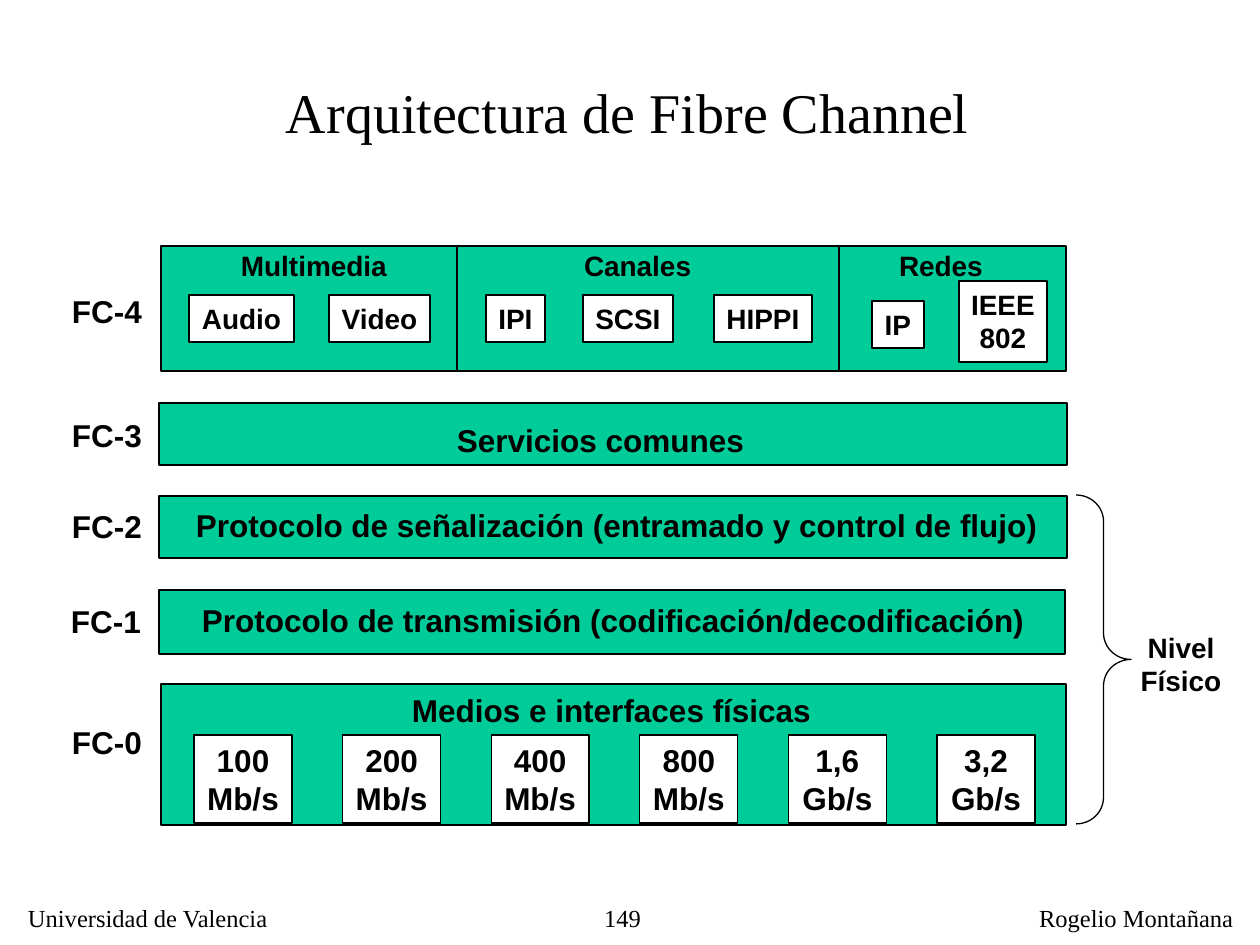
from pptx import Presentation, util as u
from pptx.dml.color import RGBColor
from pptx.enum import shapes, text
from pptx.oxml.ns import qn
from lxml import etree

COLORS = {"layer": "00CC99", "chip": "FFFFFF", "ink": "000000"}
SANS, SERIF = "Arial", "Times New Roman"
LEFT, CENTER, RIGHT = text.PP_ALIGN.LEFT, text.PP_ALIGN.CENTER, text.PP_ALIGN.RIGHT
# Left and right insets in px, with slack on the side the text does not lean on
INSETS = {LEFT: (13, 0), CENTER: (6, 6), RIGHT: (0, 13)}

# Content: boxes are (left, top, width, height) in px
TITLE = ("Arquitectura de Fibre Channel", (273, 71, 708, 81))
FOOTERS = [
    ("149", (520, 897, 134, 39), RIGHT),
    ("Universidad de Valencia", (15, 897, 268, 43), LEFT),
    ("Rogelio Montañana", (1026, 897, 219, 43), LEFT),
]
# Name, name position, layer box, caption, caption box
LAYERS = [
    ("FC-4", (59, 286), (161, 246, 905, 125), None, None),
    ("FC-3", (59, 410), (159, 403, 908, 62), "Servicios comunes", (444, 415, 312, 50)),
    ("FC-2", (59, 501), (159, 496, 908, 62),
     "Protocolo de señalización (entramado y control de flujo)", (183, 500, 867, 50)),
    ("FC-1", (58, 596), (159, 590, 906, 64),
     "Protocolo de transmisión (codificación/decodificación)", (189, 595, 848, 50)),
    ("FC-0", (59, 717), (161, 684, 905, 141),
     "Medios e interfaces físicas", (399, 685, 425, 50)),
]
# Heading, its left and width, then the chips below it
GROUPS = [
    ("Multimedia", 228, 171, [("Audio", (189, 295, 105, 47)), ("Video", (329, 295, 101, 47))]),
    ("Canales", 571, 132, [("IPI", (486, 295, 59, 47)), ("SCSI", (583, 295, 90, 47)),
                           ("HIPPI", (714, 295, 98, 47))]),
    ("Redes", 886, 108, [("IP", (872, 301, 52, 47)), ("IEEE\n802", (959, 281, 88, 81))]),
]
DIVIDERS = [457, 839]
RATES = ["100 Mb/s", "200 Mb/s", "400 Mb/s", "800 Mb/s", "1,6 Gb/s", "3,2 Gb/s"]
FIRST_RATE, LAST_RATE = 194, 937
PHYSICAL = ("Nivel\nFísico", (1128, 624, 106, 81))
BRACE = (1076, 495, 55, 329)


def px(n):
    return u.Emu(round(n * 914400 / 126))


def color(name):
    return RGBColor.from_string(COLORS[name])


def write(shape, words, size, font=SANS, bold=True, align=LEFT):
    frame = shape.text_frame
    frame.word_wrap = True
    frame.auto_size = text.MSO_AUTO_SIZE.NONE
    frame.vertical_anchor = text.MSO_ANCHOR.TOP
    frame.margin_left, frame.margin_right = map(px, INSETS[align])
    for i, line in enumerate(words.split("\n")):
        para = frame.add_paragraph() if i else frame.paragraphs[0]
        para.alignment = align
        run = para.add_run()
        run.text = line
        run.font.size, run.font.name, run.font.bold = u.Pt(size), font, bold
        run.font.color.rgb = color("ink")


def outline(shape):
    shape.line.color.rgb = color("ink")
    shape.line.width = u.Pt(0.75)


def add_label(slide, words, box, size, **style):
    write(slide.shapes.add_textbox(*map(px, box)), words, size, **style)


def add_box(slide, box, fill):
    rect = slide.shapes.add_shape(shapes.MSO_SHAPE.RECTANGLE, *map(px, box))
    rect.shadow.inherit = False
    rect.fill.solid()
    rect.fill.fore_color.rgb = color(fill)
    outline(rect)
    return rect


def main():
    prs = Presentation()
    prs.slide_width, prs.slide_height = px(1260), px(945)
    slide = prs.slides.add_slide(prs.slide_layouts[5])

    # Title and footer
    title = slide.shapes.title
    words, box = TITLE
    title.left, title.top, title.width, title.height = map(px, box)
    write(title, words, 32, font=SERIF, bold=False)
    for words, box, align in FOOTERS:
        add_label(slide, words, box, 14, font=SERIF, bold=False, align=align)

    # Layers with their names and captions
    for name, (left, top), box, caption, caption_box in LAYERS:
        add_box(slide, box, "layer")
        add_label(slide, name, (left, top, 95, 50), 18)
        if caption:
            add_label(slide, caption, caption_box, 18)

    # FC-0 rates, evenly spread
    step = (LAST_RATE - FIRST_RATE) / (len(RATES) - 1)
    for i, rate in enumerate(RATES):
        chip = add_box(slide, (FIRST_RATE + i * step, 735, 98, 88), "chip")
        write(chip, rate, 18, align=CENTER)

    # FC-4 groups
    for heading, left, width, chips in GROUPS:
        add_label(slide, heading, (left, 242, width, 47), 16)
        for words, box in chips:
            write(add_box(slide, box, "chip"), words, 16, align=CENTER)
    for x in DIVIDERS:
        divider = slide.shapes.add_connector(
            shapes.MSO_CONNECTOR.STRAIGHT, px(x), px(246), px(x), px(371))
        outline(divider)
        etree.SubElement(divider._element.spPr, qn("a:effectLst"))

    # Physical level
    brace = slide.shapes.add_shape(shapes.MSO_SHAPE.RIGHT_BRACE, *map(px, BRACE))
    brace.shadow.inherit = False
    brace.fill.background()
    outline(brace)
    brace.adjustments[0] = 0.48
    words, box = PHYSICAL
    add_label(slide, words, box, 16, align=CENTER)

    prs.save("out.pptx")


if __name__ == "__main__":
    main()
